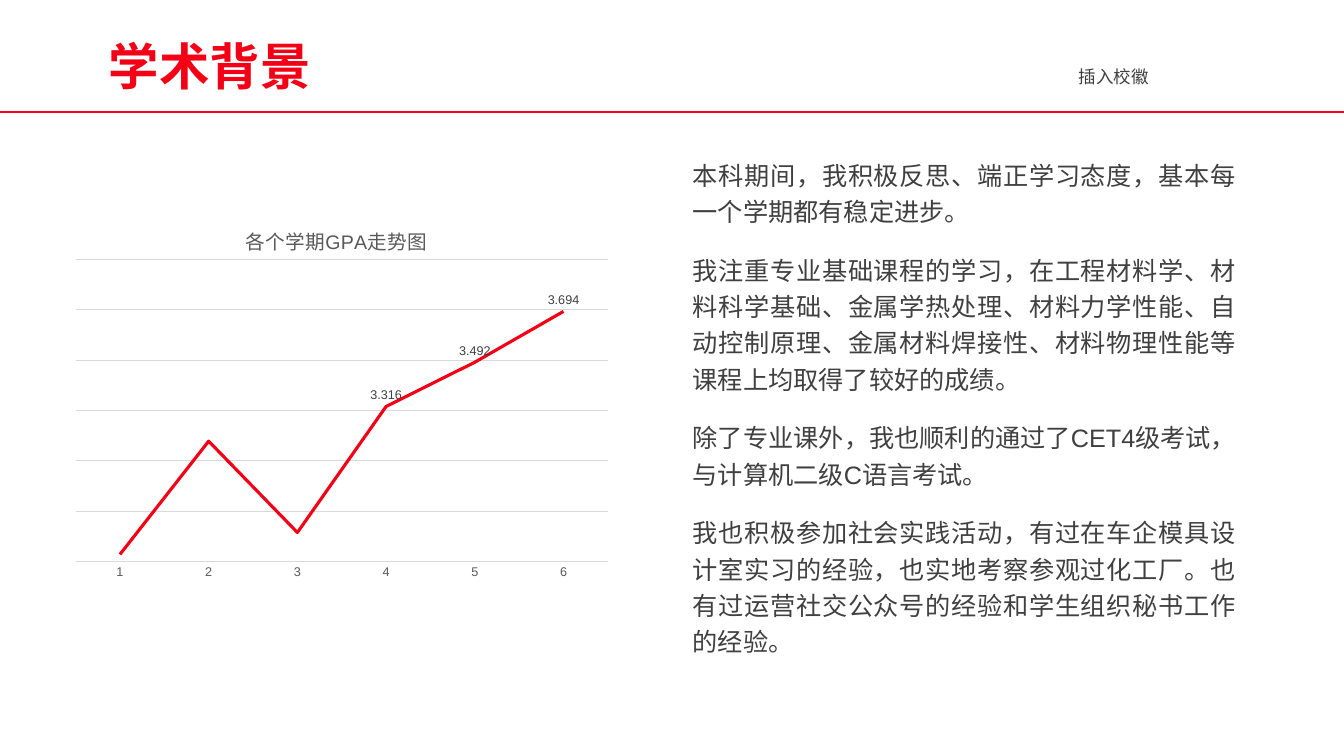
from dataclasses import dataclass

from lxml import etree
from pptx import Presentation
from pptx.chart.data import CategoryChartData
from pptx.dml.color import RGBColor
from pptx.enum.chart import XL_CHART_TYPE, XL_LABEL_POSITION, XL_TICK_LABEL_POSITION, XL_TICK_MARK
from pptx.enum.shapes import MSO_CONNECTOR, MSO_SHAPE
from pptx.enum.text import MSO_ANCHOR, PP_ALIGN
from pptx.oxml import parse_xml
from pptx.oxml.ns import nsdecls, qn
from pptx.util import Inches, Pt

LINE_CHART = XL_CHART_TYPE.LINE
LABEL_ABOVE = XL_LABEL_POSITION.ABOVE
NO_LABELS = XL_TICK_LABEL_POSITION.NONE
NO_TICKS = XL_TICK_MARK.NONE
STRAIGHT = MSO_CONNECTOR.STRAIGHT
RECTANGLE = MSO_SHAPE.RECTANGLE
TOP, MIDDLE = MSO_ANCHOR.TOP, MSO_ANCHOR.MIDDLE
LEFT, JUSTIFY = PP_ALIGN.LEFT, PP_ALIGN.JUSTIFY

FONT = "Arial"
RED, WHITE = "F30017", "FFFFFF"
DARK, GRAY, LIGHT = "404040", "595959", "D9D9D9"

SLIDE_WIDTH, SLIDE_HEIGHT = 13.33, 7.5
RULE_TOP = 1.11
SEMESTER_GPAS = (2.728, 3.178, 2.815, 3.316, 3.492, 3.694)
LABELLED_SEMESTERS = (3, 4, 5)


@dataclass
class TextBlock:
    box: tuple[float, float, float, float]
    insets: tuple[float, float, float, float]
    paragraphs: tuple[str, ...]
    size: float
    line_spacing: float
    color: str = DARK
    bold: bool = False
    anchor: MSO_ANCHOR = TOP
    align: PP_ALIGN = LEFT
    space_before: float = 0
    space_after: float = 0
    fill: str | None = None


TEXT_BLOCKS = (
    TextBlock((1.08, 0.32, 9.81, 0.73), (0, 0.05, 0.1, 0.05), ("学术背景",), 36, 0.9,
              color=RED, bold=True, anchor=MIDDLE),
    TextBlock(
        (6.67, 1.48, 5.79, 5.34), (0.2, 0.05, 0.2, 0.05),
        (
            "本科期间，我积极反思、端正学习态度，基本每一个学期都有稳定进步。",
            "我注重专业基础课程的学习，在工程材料学、材料科学基础、金属学热处理、材料力学性能、"
            "自动控制原理、金属材料焊接性、材料物理性能等课程上均取得了较好的成绩。",
            "除了专业课外，我也顺利的通过了CET4级考试，与计算机二级C语言考试。",
            "我也积极参加社会实践活动，有过在车企模具设计室实习的经验，也实地考察参观过化工厂。"
            "也有过运营社交公众号的经验和学生组织秘书工作的经验。",
        ),
        18, 1.2, align=JUSTIFY, space_before=10, space_after=6),
    TextBlock((10.5, 0.43, 2.09, 0.62), (0.2, 0.2, 0.2, 0.2), ("插入校徽",), 12.5, 1.1,
              fill=WHITE),
)


def rgb(color: str) -> RGBColor:
    return RGBColor.from_string(color)


def style_font(font, size: float, color: str, bold: bool = False) -> None:
    font.name = FONT
    font.size = Pt(size)
    font.bold = bold
    font.color.rgb = rgb(color)


def style_line(line, color: str, width: float) -> None:
    line.color.rgb = rgb(color)
    line.width = Pt(width)


def add_text_block(slide, block: TextBlock) -> None:
    box = [Inches(length) for length in block.box]
    if block.fill:
        shape = slide.shapes.add_shape(RECTANGLE, *box)
        shape.shadow.inherit = False
        shape.fill.solid()
        shape.fill.fore_color.rgb = rgb(block.fill)
        style_line(shape.line, block.fill, 1)
    else:
        shape = slide.shapes.add_textbox(*box)
    text_frame = shape.text_frame
    text_frame.word_wrap = True
    text_frame.vertical_anchor = block.anchor
    (text_frame.margin_left, text_frame.margin_top,
     text_frame.margin_right, text_frame.margin_bottom) = map(Inches, block.insets)
    text_frame.text = "\n".join(block.paragraphs)
    for paragraph in text_frame.paragraphs:
        paragraph.alignment = block.align
        paragraph.line_spacing = block.line_spacing
        paragraph.space_before = Pt(block.space_before)
        paragraph.space_after = Pt(block.space_after)
        for run in paragraph.runs:
            style_font(run.font, block.size, block.color, block.bold)


def add_header_rule(slide) -> None:
    rule = slide.shapes.add_connector(
        STRAIGHT, 0, Inches(RULE_TOP), Inches(SLIDE_WIDTH), Inches(RULE_TOP))
    style_line(rule.line, RED, 1)
    etree.SubElement(rule._element.spPr, qn("a:effectLst"))


def manual_layout(x: float, y: float, size: tuple[float, float] | None = None):
    target = '<c:layoutTarget val="inner"/>' if size else ""
    extent = f'<c:w val="{size[0]}"/><c:h val="{size[1]}"/>' if size else ""
    return parse_xml(
        f'<c:layout {nsdecls("c")}><c:manualLayout>{target}'
        f'<c:xMode val="edge"/><c:yMode val="edge"/><c:x val="{x}"/><c:y val="{y}"/>'
        f'{extent}</c:manualLayout></c:layout>')


def replace_layout(parent, layout, index: int) -> None:
    for existing in parent.findall(qn("c:layout")):
        parent.remove(existing)
    parent.insert(index, layout)


def add_gpa_chart(slide) -> None:
    data = CategoryChartData(number_format="0.000")
    data.categories = [str(semester + 1) for semester in range(len(SEMESTER_GPAS))]
    data.add_series("Series 1", SEMESTER_GPAS)
    chart = slide.shapes.add_chart(
        LINE_CHART, Inches(0.64), Inches(2), Inches(5.5), Inches(3.84), data).chart
    style_font(chart.font, 10, "000000")
    chart.has_legend = False
    chart.has_title = True
    title = chart.chart_title
    title.include_in_layout = False
    title.text_frame.text = "各个学期GPA走势图"
    style_font(title.text_frame.paragraphs[0].runs[0].font, 14, GRAY)
    replace_layout(title._element, manual_layout(0.32, 0.05), 1)
    plot_area = chart._chartSpace.chart.plotArea
    replace_layout(plot_area, manual_layout(0.02, 0.15, (0.96, 0.78)), 0)

    category_axis = chart.category_axis
    category_axis.major_tick_mark = NO_TICKS
    style_font(category_axis.tick_labels.font, 9, GRAY)
    style_line(category_axis.format.line, LIGHT, 0.75)

    value_axis = chart.value_axis
    value_axis.minimum_scale, value_axis.maximum_scale = 2.7, 3.9
    value_axis.major_unit = 0.2
    value_axis.major_tick_mark = NO_TICKS
    value_axis.tick_label_position = NO_LABELS
    value_axis.format.line.fill.background()
    style_line(value_axis.major_gridlines.format.line, LIGHT, 0.75)

    chart.plots[0].vary_by_categories = False
    series = chart.plots[0].series[0]
    series.smooth = False
    style_line(series.format.line, RED, 2.25)
    series.data_labels.show_value = False
    for semester in LABELLED_SEMESTERS:
        label = series.points[semester].data_label
        style_font(label.font, 9, DARK)
        label.position = LABEL_ABOVE


def main() -> None:
    presentation = Presentation()
    presentation.slide_width = Inches(SLIDE_WIDTH)
    presentation.slide_height = Inches(SLIDE_HEIGHT)
    slide = presentation.slides.add_slide(presentation.slide_layouts[6])
    add_header_rule(slide)
    add_gpa_chart(slide)
    for block in TEXT_BLOCKS:
        add_text_block(slide, block)
    presentation.save("out.pptx")


if __name__ == "__main__":
    main()
